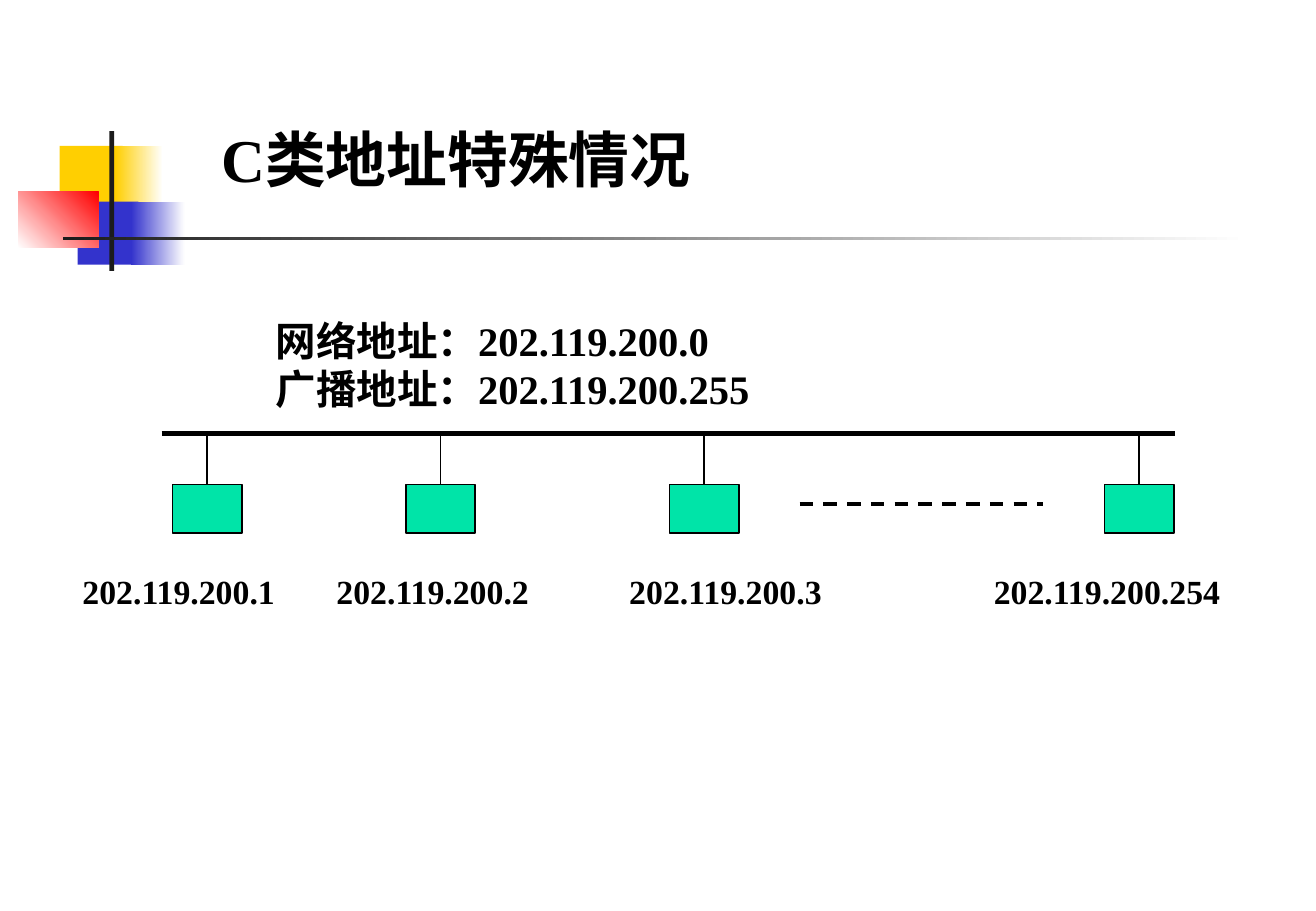
"""Build a slide on the special addresses of a class C network."""
from lxml import etree
from pptx import Presentation
from pptx.dml.color import RGBColor
from pptx.enum.dml import MSO_LINE
from pptx.enum.shapes import MSO_CONNECTOR, MSO_SHAPE
from pptx.enum.text import MSO_ANCHOR, MSO_AUTO_SIZE, PP_ALIGN
from pptx.oxml.ns import qn
from pptx.util import Inches, Pt

RECTANGLE = MSO_SHAPE.RECTANGLE
STRAIGHT = MSO_CONNECTOR.STRAIGHT
DASH = MSO_LINE.DASH
TOP, MIDDLE = MSO_ANCHOR.TOP, MSO_ANCHOR.MIDDLE
LEFT = PP_ALIGN.LEFT
NO_FIT, GROW = MSO_AUTO_SIZE.NONE, MSO_AUTO_SIZE.SHAPE_TO_FIT_TEXT
TOP_SIDE = 0

FONT = "Times New Roman"
COLORS = {
    "ink": "000000",
    "host": "00E4A8",
    "yellow": "FFCF01",
    "blue": "3333CC",
    "red": "FF0000",
    "rule": "1C1C1C",
    "white": "FFFFFF",
}
DECORATION = [
    ((0.49, 1.2, 0.52, 0.52), ["yellow"], 0),
    ((0.95, 1.2, 0.39, 0.52), ["yellow", "white"], 0),
    ((0.64, 1.66, 0.5, 0.52), ["blue"], 0),
    ((1.08, 1.66, 0.44, 0.52), ["blue", "white"], 0),
    ((0.15, 1.58, 0.66, 0.46), ["white", "red"], 45),
    ((0.9, 1.08, 0.04, 1.15), ["rule"], 0),
    ((0.52, 1.95, 9.75, 0.03), ["rule", "white"], 0),
]
HOSTS = [
    ("202.119.200.1", 1.42, 0.58),
    ("202.119.200.2", 3.34, 2.67),
    ("202.119.200.3", 5.51, 5.08),
    ("202.119.200.254", 9.09, 8.08),
]
BUS_Y = 3.57
HOST_TOP, HOST_WIDTH, HOST_HEIGHT = 3.99, 0.57, 0.4


def color(name):
    return RGBColor.from_string(COLORS[name])


def add_rectangle(slide, box, fills, angle=0, outline=None):
    """Add a rectangle with one solid colour or a two-colour gradient."""
    rectangle = slide.shapes.add_shape(RECTANGLE, *map(Inches, box))
    rectangle.shadow.inherit = False
    if len(fills) == 1:
        rectangle.fill.solid()
        rectangle.fill.fore_color.rgb = color(fills[0])
    else:
        rectangle.fill.gradient()
        rectangle.fill.gradient_angle = angle
        for stop, name in zip(rectangle.fill.gradient_stops, fills):
            stop.color.rgb = color(name)
    if outline:
        rectangle.line.color.rgb = color(outline)
        rectangle.line.width = Pt(1)
    else:
        rectangle.line.fill.background()
    return rectangle


def add_line(slide, start, end, width, dash=None):
    """Add a straight black line without a shadow."""
    line = slide.shapes.add_connector(STRAIGHT, *map(Inches, start + end))
    line.line.color.rgb = color("ink")
    line.line.width = Pt(width)
    if dash:
        line.line.dash_style = dash
    etree.SubElement(line._element.spPr, qn("a:effectLst"))
    return line


def write_text(holder, lines, size, anchor=TOP, fit=NO_FIT, indent=0):
    """Fill a text holder with bold, left-aligned paragraphs."""
    frame = holder.text_frame
    frame.text = "\n".join(lines)
    frame.word_wrap = True
    frame.auto_size = fit
    frame.vertical_anchor = anchor
    for paragraph in frame.paragraphs:
        paragraph.alignment = LEFT
        if indent:
            paragraph._p.get_or_add_pPr().set("marL", str(Inches(indent)))
        for run in paragraph.runs:
            run.font.name = FONT
            run.font.size = Pt(size)
            run.font.bold = True
            run.font.color.rgb = color("ink")


def add_text(slide, box, lines, **text_format):
    write_text(slide.shapes.add_textbox(*map(Inches, box)), lines, **text_format)


def add_title(slide, box, text):
    title = slide.shapes.title
    title.left, title.top, title.width, title.height = map(Inches, box)
    write_text(title, [text], size=36, anchor=MIDDLE)


def add_host(slide, address, left, label_left):
    """Add a host joined to the bus, with its address below."""
    host = add_rectangle(slide, (left, HOST_TOP, HOST_WIDTH, HOST_HEIGHT),
                         ["host"], outline="ink")
    center = left + HOST_WIDTH / 2
    stem = add_line(slide, (center, HOST_TOP), (center, BUS_Y), 1)
    stem.begin_connect(host, TOP_SIDE)
    add_text(slide, (label_left, 4.65, 2.08, 0.44), [address], size=20, fit=GROW)


def main():
    presentation = Presentation()
    presentation.slide_width = Inches(10.83)
    presentation.slide_height = Inches(7.5)
    slide = presentation.slides.add_slide(presentation.slide_layouts[5])

    for box, fills, angle in DECORATION:
        add_rectangle(slide, box, fills, angle)
    add_title(slide, (1.72, 0.68, 8.5, 1.25), "C类地址特殊情况")
    add_text(slide, (1.17, 2.55, 8.83, 0.91),
             ["网络地址：202.119.200.0", "广播地址：202.119.200.255"],
             size=24, indent=1)
    add_line(slide, (1.33, BUS_Y), (9.67, BUS_Y), 3)
    for address, left, label_left in HOSTS:
        add_host(slide, address, left, label_left)
    add_line(slide, (6.58, 4.15), (8.58, 4.15), 2, dash=DASH)

    presentation.save("out.pptx")


if __name__ == "__main__":
    main()
